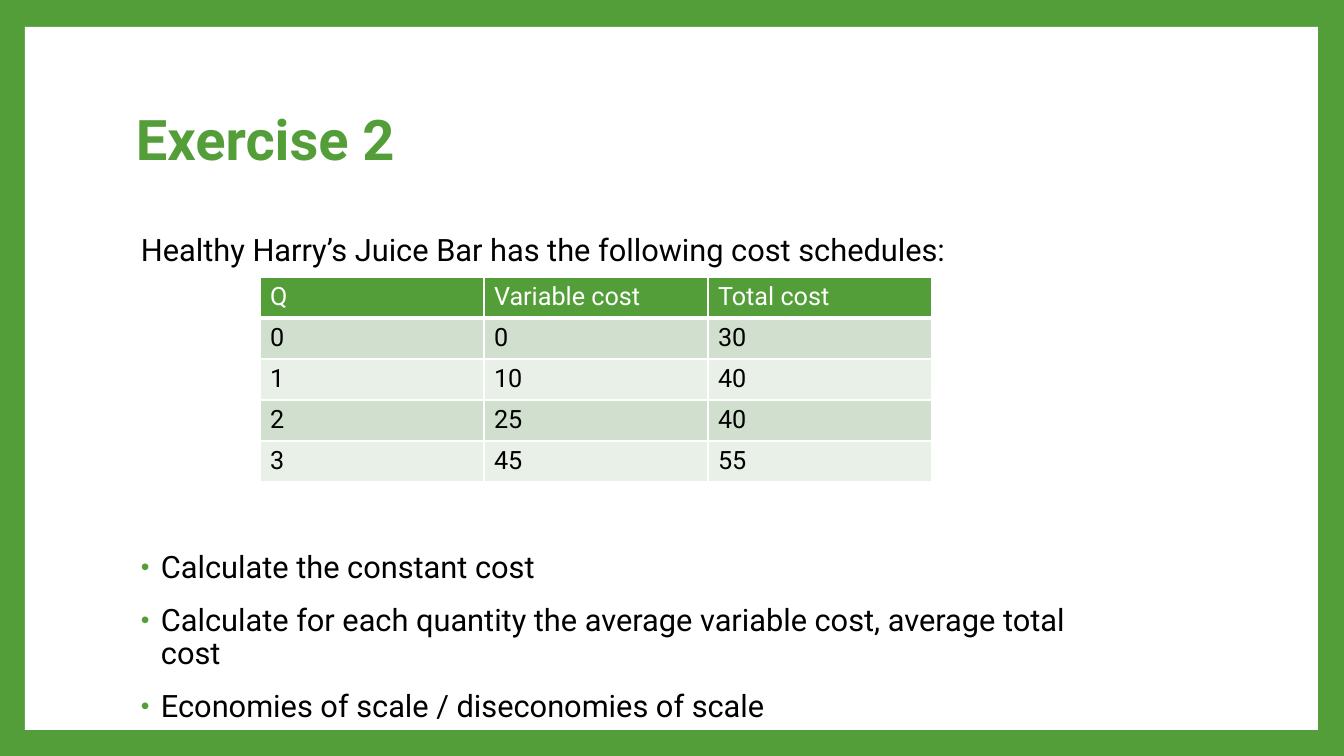
from dataclasses import dataclass

from lxml import etree
from pptx import Presentation
from pptx.dml.color import RGBColor
from pptx.enum.shapes import MSO_SHAPE
from pptx.enum.text import MSO_ANCHOR
from pptx.oxml.ns import qn
from pptx.slide import Slide
from pptx.table import _Cell
from pptx.text.text import _Paragraph
from pptx.util import Emu, Pt

RECT = MSO_SHAPE.RECTANGLE
TOP = MSO_ANCHOR.TOP
MIDDLE = MSO_ANCHOR.MIDDLE
PIXEL = 914400 / 100.8
INDENT = 20
ROW_HEIGHT = 41


@dataclass(frozen=True)
class Theme:
    font: str = "Roboto"
    green: str = "549E39"
    white: str = "FFFFFF"
    black: str = "000000"
    bands: tuple[str, str] = ("D1DFCE", "E9F0E8")
    title: int = 40
    body: int = 22
    table: int = 18


@dataclass(frozen=True)
class Box:
    left: int
    top: int
    width: int
    height: int

    def emu(self) -> tuple[Emu, Emu, Emu, Emu]:
        return px(self.left), px(self.top), px(self.width), px(self.height)


@dataclass(frozen=True)
class Block:
    box: Box
    lines: tuple[str, ...]
    size: int
    color: str
    bold: bool = False
    bullet: bool = False
    anchor: MSO_ANCHOR = TOP


THEME = Theme()
PANEL = Box(25, 27, 1293, 703)
GRID = Box(260, 277, 672, 205)
BLOCKS = (
    Block(Box(136, 68, 1069, 149), ("Exercise 2",), THEME.title, THEME.green,
          bold=True, anchor=MIDDLE),
    Block(Box(141, 235, 975, 36),
          ("Healthy Harry’s Juice Bar has the following cost schedules:",),
          THEME.body, THEME.black),
    Block(Box(141, 552, 975, 178),
          ("Calculate the constant cost",
           "Calculate for each quantity the average variable cost, average total cost",
           "Economies of scale / diseconomies of scale"),
          THEME.body, THEME.black, bullet=True),
)
COSTS = (
    ("Q", "Variable cost", "Total cost"),
    ("0", "0", "30"),
    ("1", "10", "40"),
    ("2", "25", "40"),
    ("3", "45", "55"),
)


def px(count: int) -> Emu:
    """Turn pixels into EMU."""
    return Emu(round(count * PIXEL))


def rgb(code: str) -> RGBColor:
    """Turn a hex code into a colour."""
    return RGBColor.from_string(code)


def style(para: _Paragraph, size: int, color: str, bold: bool = False) -> None:
    """Set the font of a paragraph."""
    para.font.name = THEME.font
    para.font.size = Pt(size)
    para.font.bold = bold
    para.font.color.rgb = rgb(color)


def add_bullet(para: _Paragraph) -> None:
    """Give a paragraph a small green bullet with a hanging indent."""
    props = para._p.get_or_add_pPr()
    props.set("marL", str(px(INDENT)))
    props.set("indent", str(-px(INDENT)))
    tint = etree.SubElement(props, qn("a:buClr"))
    etree.SubElement(tint, qn("a:srgbClr"), val=THEME.green)
    etree.SubElement(props, qn("a:buSzPct"), val="80000")
    etree.SubElement(props, qn("a:buFont"), typeface="Arial")
    etree.SubElement(props, qn("a:buChar"), char="•")


def add_block(slide: Slide, block: Block) -> None:
    """Draw a block of text, one paragraph a line."""
    frame = slide.shapes.add_textbox(*block.box.emu()).text_frame
    frame.word_wrap = True
    frame.vertical_anchor = block.anchor
    frame.margin_left = frame.margin_right = 0
    frame.margin_top = frame.margin_bottom = 0
    frame.text = "\n".join(block.lines)
    for para in frame.paragraphs:
        para.line_spacing = 0.9
        para.space_after = Pt(14)
        if block.bullet:
            add_bullet(para)
        style(para, block.size, block.color, block.bold)


def add_edges(cell: _Cell, base: int) -> None:
    """Draw white cell borders with a given bottom width in points."""
    props = cell._tc.get_or_add_tcPr()
    for side, width in (("L", 1), ("R", 1), ("T", 1), ("B", base)):
        line = etree.SubElement(props, qn(f"a:ln{side}"), w=str(Pt(width)))
        fill = etree.SubElement(line, qn("a:solidFill"))
        etree.SubElement(fill, qn("a:srgbClr"), val=THEME.white)


def add_costs(slide: Slide) -> None:
    """Draw the cost table with a green header and banded rows."""
    table = slide.shapes.add_table(len(COSTS), len(COSTS[0]), *GRID.emu()).table
    for index, (row, texts) in enumerate(zip(table.rows, COSTS)):
        row.height = px(ROW_HEIGHT)
        head = index == 0
        fill = THEME.green if head else THEME.bands[(index - 1) % 2]
        for cell, text in zip(row.cells, texts):
            cell.text = text
            style(cell.text_frame.paragraphs[0], THEME.table,
                  THEME.white if head else THEME.black)
            add_edges(cell, 3 if head else 1)
            cell.fill.solid()
            cell.fill.fore_color.rgb = rgb(fill)


def add_panel(slide: Slide) -> None:
    """Draw the white panel on the green background."""
    back = slide.background.fill
    back.solid()
    back.fore_color.rgb = rgb(THEME.green)
    panel = slide.shapes.add_shape(RECT, *PANEL.emu())
    panel.shadow.inherit = False
    panel.fill.solid()
    panel.fill.fore_color.rgb = rgb(THEME.white)
    panel.line.fill.background()


def main() -> None:
    """Build and save the slide."""
    deck = Presentation()
    deck.slide_width, deck.slide_height = px(1344), px(756)
    slide = deck.slides.add_slide(deck.slide_layouts[6])
    add_panel(slide)
    for block in BLOCKS:
        add_block(slide, block)
    add_costs(slide)
    deck.save("out.pptx")


main()
